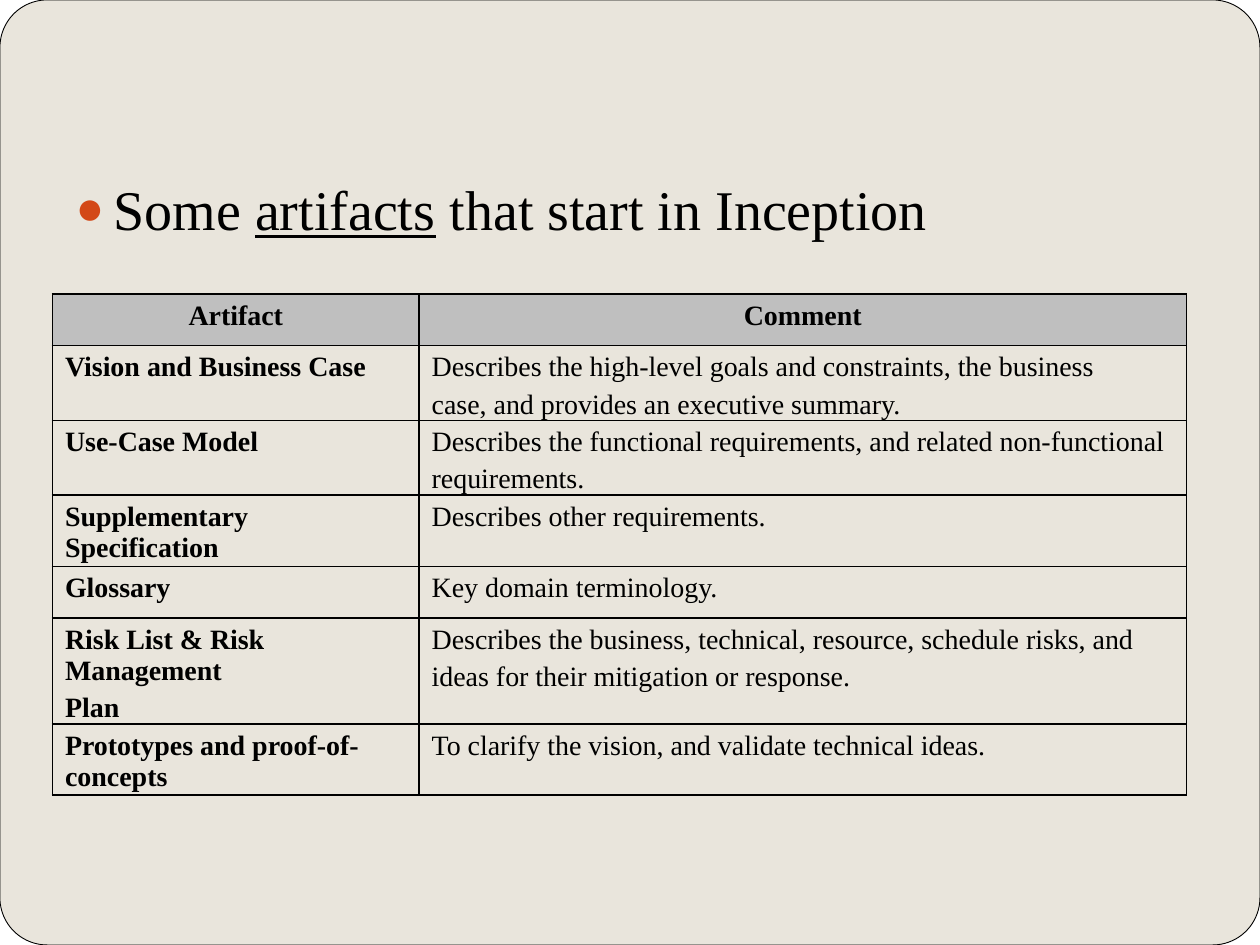
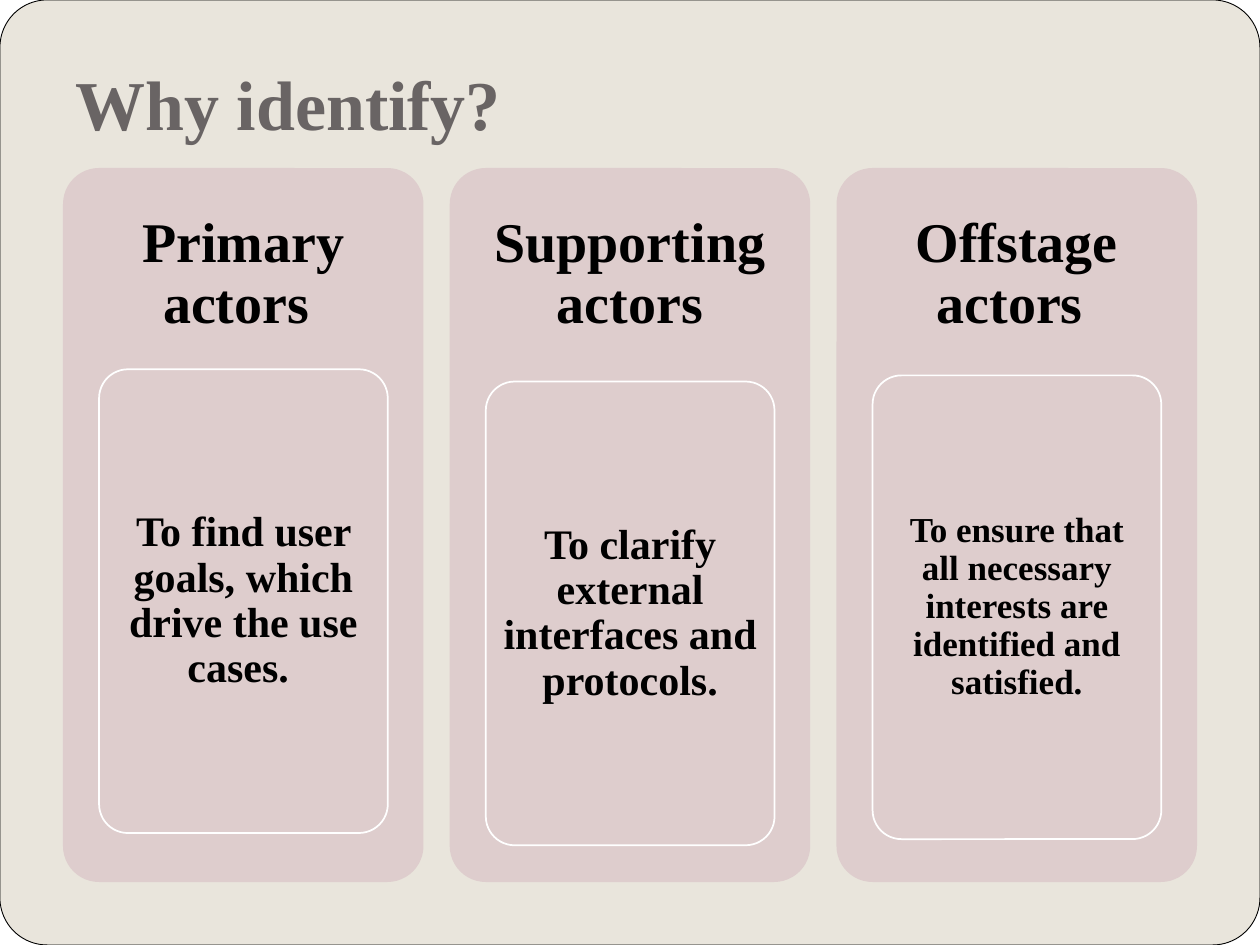
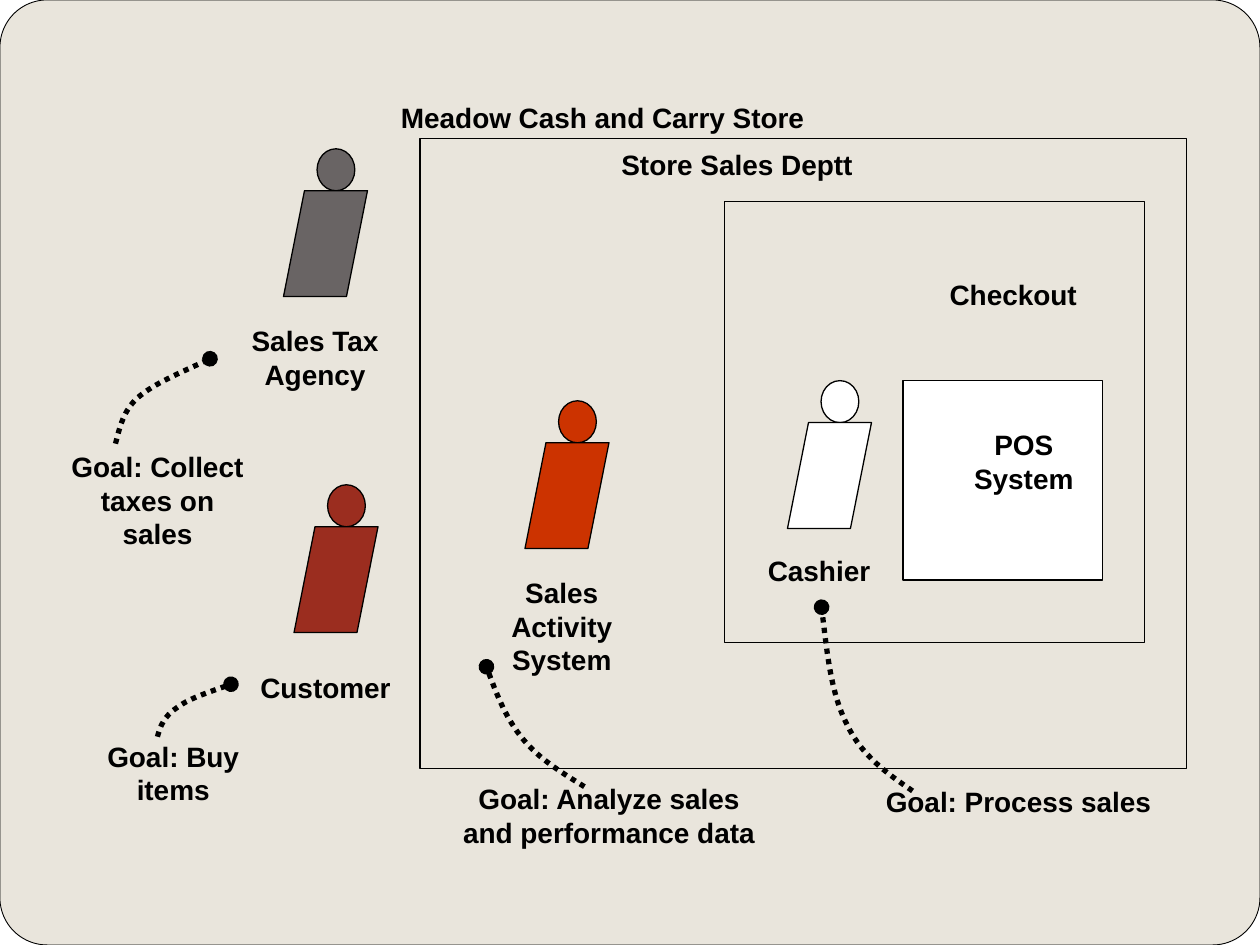
import pptx
import pptx.chart.data
import pptx.dml.color
import pptx.enum.dml
import pptx.enum.shapes
import pptx.enum.text
import pptx.oxml
import pptx.oxml.ns
import pptx.util
from lxml import etree

Pt = pptx.util.Pt
RGBColor = pptx.dml.color.RGBColor
Shape = pptx.enum.shapes.MSO_SHAPE
Align = pptx.enum.text.PP_ALIGN
Anchor = pptx.enum.text.MSO_ANCHOR
qn = pptx.oxml.ns.qn

BLACK = RGBColor(0x00, 0x00, 0x00)
WHITE = RGBColor(0xFF, 0xFF, 0xFF)
BEIGE = RGBColor(0xE9, 0xE5, 0xDC)
GRAY = RGBColor(0x69, 0x64, 0x64)
SILVER = RGBColor(0xBF, 0xBF, 0xBF)
PINK = RGBColor(0xDE, 0xCD, 0xCD)
BRICK = RGBColor(0x9B, 0x2D, 0x1F)
ORANGE = RGBColor(0xCC, 0x33, 0x00)
BULLET = RGBColor(0xD3, 0x48, 0x17)
SERIF = "Times New Roman"
SANS = "Arial"


def draw(page, kind, bounds, fill=None, line=None, width=0.75):
    """Add a preset shape; bounds are left, top, width, height in points."""
    shape = page.shapes.add_shape(kind, *[Pt(value) for value in bounds])
    shape.shadow.inherit = False
    if fill is None:
        shape.fill.background()
    else:
        shape.fill.solid()
        shape.fill.fore_color.rgb = fill
    if line is None:
        shape.line.fill.background()
    else:
        shape.line.color.rgb = line
        shape.line.width = Pt(width)
    return shape


def write(frame, text, size, font, bold=True, align=Align.LEFT, color=BLACK,
          margins=(7.2, 3.6, 7.2, 3.6), anchor=Anchor.TOP):
    """Fill a text frame and format all its runs alike."""
    frame.text = text
    frame.word_wrap = True
    frame.vertical_anchor = anchor
    (frame.margin_left, frame.margin_top,
     frame.margin_right, frame.margin_bottom) = [Pt(value) for value in margins]
    for para in frame.paragraphs:
        para.alignment = align
        for span in para.runs:
            span.font.size = Pt(size)
            span.font.name = font
            span.font.bold = bold
            span.font.color.rgb = color


deck = pptx.Presentation()
deck.slide_width = Pt(720)
deck.slide_height = Pt(540)
master = deck.slide_master

# Slide 1: artifacts
page = deck.slides.add_slide(deck.slide_layouts[1])

# Shared background: a rounded card on white, moved to the master
master.background.fill.solid()
master.background.fill.fore_color.rgb = BEIGE
backdrop = draw(page, Shape.RECTANGLE, (0, 0, 720, 540), WHITE)
card = draw(page, Shape.ROUNDED_RECTANGLE, (0, 0, 720, 540), BEIGE, BLACK, 0.5)
card.adjustments[0] = 0.05
for position, shape in enumerate((backdrop, card)):
    shape.element.nvSpPr.cNvPr.id = 100 + position
    master.shapes.element.insert(2 + position, shape.element)

# Bulleted line
title = page.shapes.title.element
title.getparent().remove(title)
body = page.placeholders[1]
body.left, body.top, body.width, body.height = Pt(36), Pt(96), Pt(648), Pt(408)
para = body.text_frame.paragraphs[0]
properties = para._p.get_or_add_pPr()
properties.set("marL", str(Pt(21.6)))
properties.set("indent", str(Pt(-21.6)))
bullet_color = etree.SubElement(properties, qn("a:buClr"))
etree.SubElement(bullet_color, qn("a:srgbClr"), val=str(BULLET))
etree.SubElement(properties, qn("a:buSzPct"), val="85000")
etree.SubElement(properties, qn("a:buFont"), typeface=SANS)
etree.SubElement(properties, qn("a:buChar"), char="●")
para.space_before = Pt(0)
for text in ("Some ", "artifacts", " that start in Inception"):
    span = para.add_run()
    span.text = text
    span.font.size = Pt(32)
    span.font.name = SERIF
    span.font.color.rgb = BLACK
    span.font.underline = text == "artifacts"

# Artifact table
artifacts = [
    ("Artifact", "Comment"),
    ("Vision and Business Case",
     "Describes the high-level goals and constraints, the business\n"
     "case, and provides an executive summary."),
    ("Use-Case Model",
     "Describes the functional requirements, and related non-functional\n"
     "requirements."),
    ("Supplementary Specification", "Describes other requirements."),
    ("Glossary", "Key domain terminology."),
    ("Risk List & Risk Management\nPlan",
     "Describes the business, technical, resource, schedule risks, and\n"
     "ideas for their mitigation or response."),
    ("Prototypes and proof-of-concepts",
     "To clarify the vision, and validate technical ideas."),
]
row_heights = (29.5, 40.5, 41, 41, 29.5, 40.5, 40.5)
table = page.shapes.add_table(len(artifacts), 2, Pt(30), Pt(168), Pt(648),
                              Pt(sum(row_heights))).table
table.first_row = False
table.horz_banding = False
table.columns[0].width = Pt(209.5)
table.columns[1].width = Pt(438.5)
for row, texts in enumerate(artifacts):
    table.rows[row].height = Pt(row_heights[row])
    for column, text in enumerate(texts):
        cell = table.cell(row, column)
        write(cell.text_frame, text, 16, SERIF, bold=row == 0 or column == 0,
              align=Align.CENTER if row == 0 else Align.LEFT)
        cell.margin_left = cell.margin_right = Pt(7.2)
        cell.margin_top = Pt(3.6)
        cell.margin_bottom = 0
        for para in cell.text_frame.paragraphs[1:]:
            para.space_before = Pt(3.5)
        cell_properties = cell._tc.get_or_add_tcPr()
        for side in ("a:lnL", "a:lnR", "a:lnT", "a:lnB"):
            border = etree.SubElement(cell_properties, qn(side), w=str(Pt(1)))
            border_fill = etree.SubElement(border, qn("a:solidFill"))
            etree.SubElement(border_fill, qn("a:srgbClr"), val=str(BLACK))
        if row == 0:
            cell.fill.solid()
            cell.fill.fore_color.rgb = SILVER
        else:
            cell.fill.background()

# Slide 2: reasons to identify actors
page = deck.slides.add_slide(deck.slide_layouts[5])
title = page.shapes.title
title.left, title.top, title.width, title.height = Pt(36), Pt(21.6), Pt(648), Pt(68.4)
write(title.text_frame, "Why identify?", 40, SERIF, color=GRAY,
      margins=(7.2, 3.6, 7.2, 7.2), anchor=Anchor.BOTTOM)

reasons = [
    ("Primary actors ", "To find user goals, which drive the use cases. ", 24, 211),
    ("Supporting actors", "To clarify external interfaces and protocols.", 24, 218),
    ("Offstage actors ",
     "To ensure that all necessary interests are identified and satisfied.", 20, 214.5),
]
for index, (heading, reason, size, top) in enumerate(reasons):
    left = 36 + 221 * index
    panel = draw(page, Shape.ROUNDED_RECTANGLE, (left, 96, 206, 408), PINK)
    panel.adjustments[0] = 0.1
    heading_box = page.shapes.add_textbox(Pt(left), Pt(96), Pt(206), Pt(122.4))
    write(heading_box.text_frame, heading, 32, SERIF, align=Align.CENTER,
          margins=(9.6,) * 4, anchor=Anchor.MIDDLE)
    reason_box = draw(page, Shape.ROUNDED_RECTANGLE, (left + 20.6, top, 165, 265),
                      None, WHITE, 1)
    reason_box.adjustments[0] = 0.1
    write(reason_box.text_frame, reason, size, SERIF, align=Align.CENTER,
          margins=(4.8, 3.6, 4.8, 3.6), anchor=Anchor.MIDDLE)
    for box in (heading_box, reason_box):
        box.text_frame.paragraphs[0].line_spacing = 0.9

# Slide 3: actors and goals around the store
page = deck.slides.add_slide(deck.slide_layouts[6])

# System boundaries
draw(page, Shape.RECTANGLE, (240, 79, 438, 360), None, BLACK)
draw(page, Shape.RECTANGLE, (414, 115, 240, 252), None, BLACK)
draw(page, Shape.RECTANGLE, (516, 217.5, 114, 114), WHITE, BLACK)

# Actors: a head on a slanted body
for left, top, color in ((162, 85, GRAY), (168, 277, BRICK),
                         (300, 229, ORANGE), (450, 217.5, WHITE)):
    draw(page, Shape.OVAL, (left + 19.2, top, 21.6, 24), color, BLACK)
    draw(page, Shape.PARALLELOGRAM, (left, top + 24, 48, 60.5), color, BLACK)

# Dotted goal lines: start, then two Bézier segments of three points each
goal_lines = [
    [(66, 253.5), (68.5, 244), (70.5, 234.5), (79, 227),
     (88.5, 219), (104.5, 212.5), (120, 205)],
    [(90, 421), (91.5, 415.5), (93.5, 409.5), (101, 404.5),
     (107.5, 399.5), (119.5, 395.5), (132, 391)],
    [(334, 449.5), (321, 441.5), (308, 433.5), (299, 422.5),
     (289.5, 411), (283.5, 396), (278, 381)],
    [(521.5, 452), (507, 442), (492.5, 432), (484, 414),
     (475, 396.5), (472.5, 371.5), (469.5, 347)],
]
for points in goal_lines:
    start, *rest = [(Pt(x), Pt(y)) for x, y in points]
    builder = page.shapes.build_freeform(*start)
    builder.add_line_segments(rest, close=False)
    curve = builder.convert_to_shape()
    curve.shadow.inherit = False
    curve.fill.background()
    curve.line.color.rgb = BLACK
    curve.line.width = Pt(3)
    curve.line.dash_style = pptx.enum.dml.MSO_LINE.ROUND_DOT
    etree.SubElement(curve.line._get_or_add_ln(), qn("a:tailEnd"), type="oval")
    segments = list(curve.element.iter(qn("a:lnTo")))
    for first in range(0, len(segments), 3):
        bezier = etree.SubElement(segments[0].getparent(), qn("a:cubicBezTo"))
        for segment in segments[first:first + 3]:
            bezier.append(segment[0])
    for segment in segments:
        segment.getparent().remove(segment)

# Labels
labels = [
    ("POS System", 540, 241, 90, 46, Align.CENTER),
    ("Checkout", 516, 155, 126, 26.5, Align.CENTER),
    ("Store Sales Deptt", 348, 80.5, 240, 26.5, Align.LEFT),
    ("Customer", 138, 379.5, 96, 26.5, Align.CENTER),
    ("Sales Tax Agency", 132, 181.5, 96, 46, Align.CENTER),
    ("Goal: Collect taxes on sales", 30, 253.5, 120, 65.5, Align.CENTER),
    ("Goal: Buy items", 36, 419, 126, 46, Align.CENTER),
    ("Sales Activity System", 264, 325.5, 114, 65.5, Align.CENTER),
    ("Goal: Analyze sales and performance data", 252, 443, 192, 46, Align.CENTER),
    ("Goal: Process sales", 486, 445, 192, 26.5, Align.CENTER),
    ("Cashier", 420, 313, 96, 26.5, Align.CENTER),
    ("Meadow Cash and Carry Store", 222, 54, 250, 23, Align.LEFT),
]
for text, left, top, width, height, align in labels:
    label = page.shapes.add_textbox(Pt(left), Pt(top), Pt(width), Pt(height))
    write(label.text_frame, text, 16, SANS, align=align)

deck.save("out.pptx")
